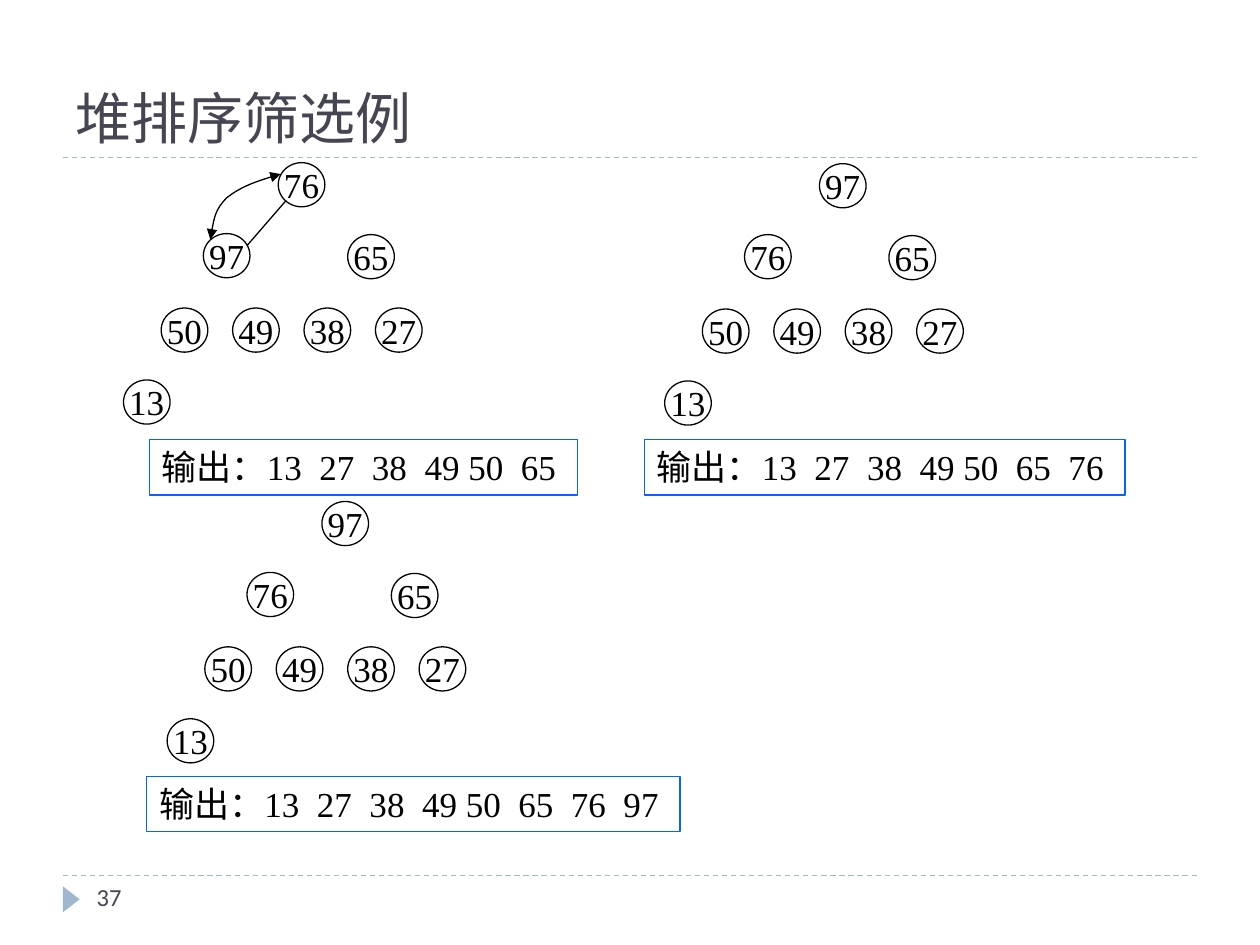
from dataclasses import dataclass

from lxml import etree
from pptx import Presentation
from pptx import util as u
from pptx.dml.color import RGBColor
from pptx.enum import dml, shapes, text
from pptx.oxml.ns import qn
from pptx.util import Cm


@dataclass(frozen=True)
class Theme:
    ink: str = "000000"
    heading: str = "464653"
    accent: str = "9FB8CD"
    frame: str = "0066FF"
    serif: str = "Times New Roman"
    sans: str = "Calibri"
    cjk: str = "Noto Sans CJK SC"
    title_size: int = 32
    body_size: int = 20
    number_size: int = 14
    line_width: float = 0.75


THEME = Theme()

# Heap layout, in cm: node offsets from the root, level by level
NODE_W, NODE_H = 0.94, 0.89
LEAF_LEFT, LEAF_STEP = -2.36, 1.44
NODE_OFFSETS = [(0, 0), (-1.51, 1.43), (1.4, 1.45)]
NODE_OFFSETS += [(LEAF_LEFT + LEAF_STEP * i, 2.93) for i in range(4)]
NODE_OFFSETS += [(-3.12, 4.38)]
OUTPUT_H = 1.12

# Heap values, root position, output text, output box position and width
STEPS = [
    ([76, 97, 65, 50, 49, 38, 27, 13], (5.61, 3.28),
     "输出：13  27  38  49 50  65", (3.01, 8.86), 8.64),
    ([97, 76, 65, 50, 49, 38, 27, 13], (16.52, 3.3),
     "输出：13  27  38  49 50  65  76", (12.99, 8.86), 9.69),
    ([97, 76, 65, 50, 49, 38, 27, 13], (6.49, 10.11),
     "输出：13  27  38  49 50  65  76  97", (2.96, 15.65), 10.75),
]


def write(shape, words, *, size=THEME.body_size, font=THEME.serif,
          color=THEME.ink, align=text.PP_ALIGN.LEFT,
          anchor=text.MSO_ANCHOR.TOP, wrap=False):
    frame = shape.text_frame
    frame.word_wrap = wrap
    frame.vertical_anchor = anchor
    paragraph = frame.paragraphs[0]
    paragraph.alignment = align
    run = paragraph.add_run()
    run.text = words
    run.font.size = u.Pt(size)
    run.font.name = font
    run.font.color.rgb = RGBColor.from_string(color)
    east_asian = etree.SubElement(run.font._element, qn("a:ea"))
    east_asian.set("typeface", THEME.cjk)


def stroke(item, color=THEME.ink):
    item.line.color.rgb = RGBColor.from_string(color)
    item.line.width = u.Pt(THEME.line_width)


def add_outline(slide, preset, left, top, width, height, color=THEME.ink):
    outline = slide.shapes.add_shape(
        preset, Cm(left), Cm(top), Cm(width), Cm(height))
    outline.shadow.inherit = False
    outline.fill.background()
    stroke(outline, color)
    return outline


def add_line(slide, start, end, color=THEME.ink, dashed=False):
    line = slide.shapes.add_connector(
        shapes.MSO_CONNECTOR.STRAIGHT, *map(Cm, start + end))
    stroke(line, color)
    if dashed:
        line.line.dash_style = dml.MSO_LINE.DASH
    etree.SubElement(line._element.spPr, qn("a:effectLst"))


def add_label(slide, words, left, top, width, height, **style):
    label = slide.shapes.add_textbox(Cm(left), Cm(top), Cm(width), Cm(height))
    write(label, words, wrap=True, color=THEME.heading, **style)


def add_heap(slide, values, root):
    for value, (dx, dy) in zip(values, NODE_OFFSETS):
        node = add_outline(slide, shapes.MSO_SHAPE.OVAL,
                           root[0] + dx, root[1] + dy, NODE_W, NODE_H)
        write(node, str(value), align=text.PP_ALIGN.CENTER,
              anchor=text.MSO_ANCHOR.MIDDLE)


def add_output(slide, words, corner, width):
    output = add_outline(slide, shapes.MSO_SHAPE.RECTANGLE, *corner,
                         width, OUTPUT_H, color=THEME.frame)
    # A narrow right margin keeps the sequence on one line
    output.text_frame.margin_right = Cm(0.1)
    write(output, words, wrap=True)


def add_swap_arrow(slide, points):
    """Draw a two-headed curve; points are a start and Bézier triples."""
    start, *controls = [(Cm(x), Cm(y)) for x, y in points]
    builder = slide.shapes.build_freeform(*start)
    builder.add_line_segments(controls, close=False)
    swap = builder.convert_to_shape()
    swap.shadow.inherit = False
    swap.fill.background()
    stroke(swap)

    # Turn every three straight segments into one curve
    outline = swap._element.spPr.find(".//" + qn("a:path"))
    segments = outline.findall(qn("a:lnTo"))
    for i in range(0, len(segments), 3):
        curve = etree.SubElement(outline, qn("a:cubicBezTo"))
        for segment in segments[i:i + 3]:
            curve.append(segment[0])
            outline.remove(segment)

    for end in ("headEnd", "tailEnd"):
        arrowhead = etree.SubElement(swap.line._get_or_add_ln(), qn("a:" + end))
        arrowhead.set("type", "triangle")


def add_page_frame(slide):
    for y in (17.65, 3.18):
        add_line(slide, (1.27, y), (24.13, y), THEME.accent, dashed=True)
    marker = slide.shapes.add_shape(
        shapes.MSO_SHAPE.ISOSCELES_TRIANGLE,
        Cm(1.17), Cm(17.96), Cm(0.53), Cm(0.34))
    marker.rotation = 90
    marker.shadow.inherit = False
    marker.fill.solid()
    marker.fill.fore_color.rgb = RGBColor.from_string(THEME.accent)
    marker.line.fill.background()


def main():
    deck = Presentation()
    deck.slide_width, deck.slide_height = Cm(25.4), Cm(19.05)
    slide = deck.slides.add_slide(deck.slide_layouts[6])

    # Frame, title and page number
    add_page_frame(slide)
    add_label(slide, "堆排序筛选例", 1.27, 0.43, 22.86, 2.74,
              size=THEME.title_size, font=THEME.cjk,
              anchor=text.MSO_ANCHOR.BOTTOM)
    add_label(slide, "37", 1.7, 17.65, 5.5, 1.02,
              size=THEME.number_size, font=THEME.sans)

    # Heaps with their outputs
    for values, root, words, corner, width in STEPS:
        add_heap(slide, values, root)
        add_output(slide, words, corner, width)

    # Swap of 76 and 97 in the first heap
    add_line(slide, (5.77, 4.04), (4.98, 4.95))
    add_swap_arrow(slide, [
        (5.66, 3.51),
        (5.23, 3.63), (4.83, 3.78), (4.57, 3.99),
        (4.34, 4.22), (4.29, 4.52), (4.24, 4.83)])

    deck.save("out.pptx")


if __name__ == "__main__":
    main()
